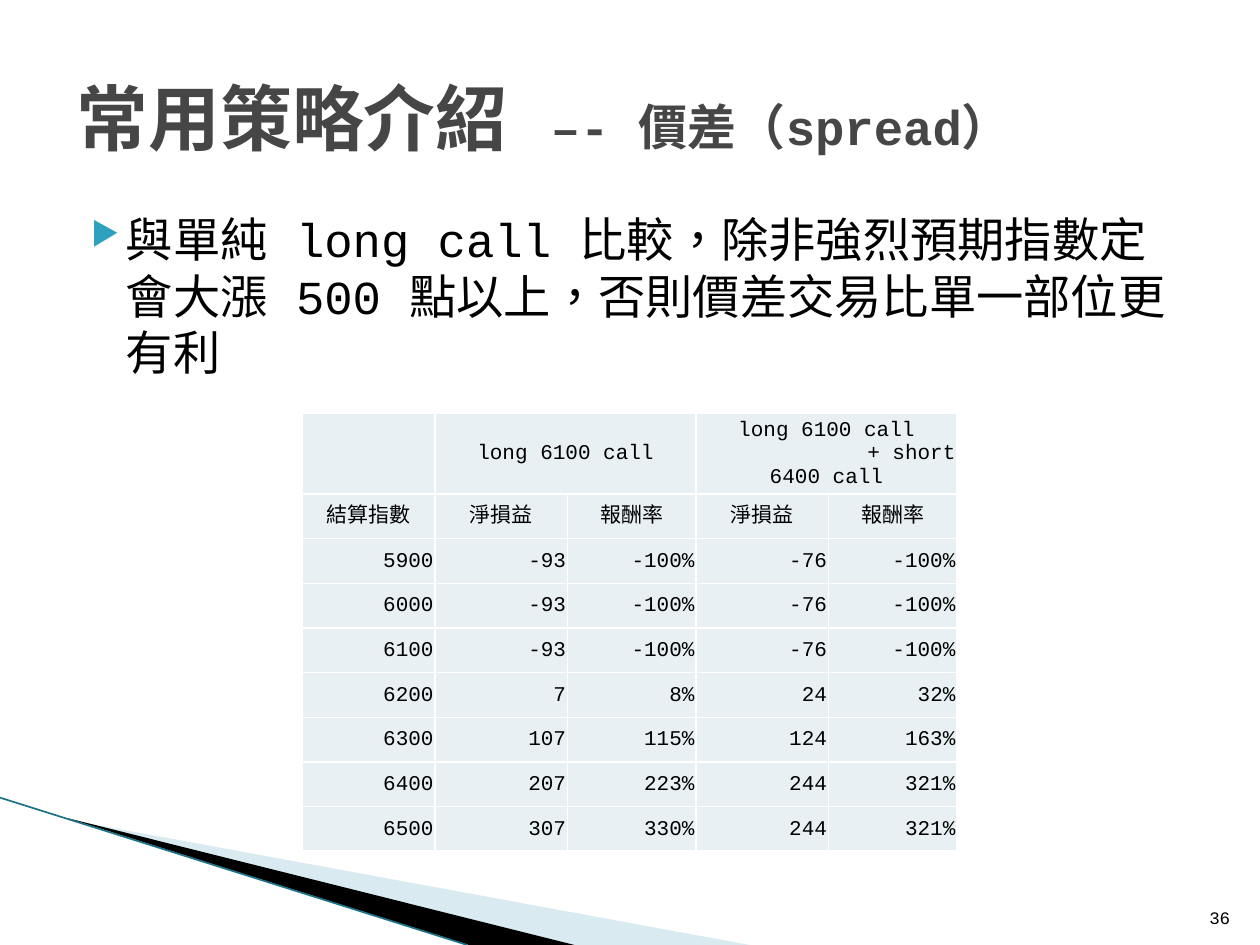
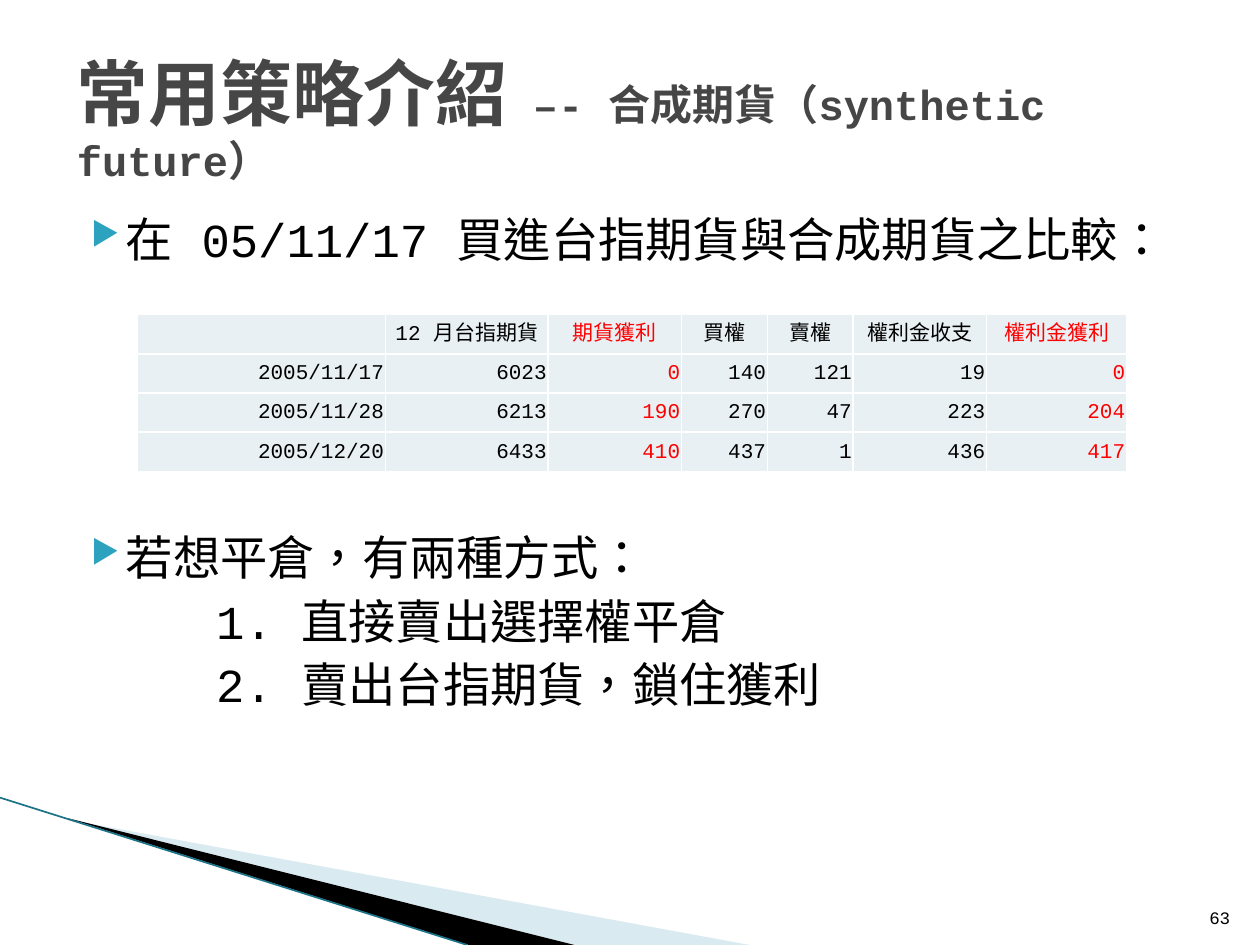
from pptx import Presentation
from pptx.dml.color import RGBColor
from pptx.enum.lang import MSO_LANGUAGE_ID
from pptx.enum.shapes import MSO_CONNECTOR
from pptx.enum.text import MSO_ANCHOR, PP_ALIGN
from pptx.oxml import parse_xml
from pptx.oxml.ns import nsdecls, qn
from pptx.util import Cm, Pt
from lxml.etree import SubElement

FONT = "Courier New"
HUES = {"ink": "000000", "title": "464646", "mark": "2DA2BF", "red": "FF0000",
        "cell": "E8F0F4", "rule": "FFFFFF", "pale": "A0CBDC", "edge": "1C7387"}
LEFT, MID, RIGHT = PP_ALIGN.LEFT, PP_ALIGN.CENTER, PP_ALIGN.RIGHT


def put(frame, text, size=27, hue="ink", bold=False, align=LEFT,
        mark=False, left=0, gap=0, new=False):
    para = frame.add_paragraph() if new else frame.paragraphs[-1]
    para.alignment = align
    para.space_before = Pt(gap)
    props = para._p.get_or_add_pPr()
    props.set("marL", str(Cm(left)))
    props.set("indent", str(-Cm(0.7) if mark else 0))
    if mark:
        tint = SubElement(props, qn("a:buClr"))
        SubElement(tint, qn("a:srgbClr")).set("val", HUES["mark"])
        SubElement(props, qn("a:buSzPct")).set("val", "68000")
        SubElement(props, qn("a:buChar")).set("char", "▶")
    run = para.add_run()
    run.text = text
    font = run.font
    font.name, font.size, font.bold = FONT, Pt(size), bold
    font.color.rgb = RGBColor.from_string(HUES[hue])
    font.language_id = MSO_LANGUAGE_ID.TRADITIONAL_CHINESE
    SubElement(run._r.rPr, qn("a:ea")).set("typeface", FONT)


def box(slide, x, y, w, h, anchor=MSO_ANCHOR.TOP):
    frame = slide.shapes.add_textbox(Cm(x), Cm(y), Cm(w), Cm(h)).text_frame
    frame.word_wrap = True
    frame.vertical_anchor = anchor
    return frame


wide = "long 6100 call\n+ short\n6400 call"
pages = [
    {"num": "36", "name": "常用策略介紹 ", "sub": "–- 價差（spread）", "pt": 28,
     "lead": "與單純 long call 比較，除非強烈預期指數定會大漲 500 點以上，否則價差交易比單一部位更有利",
     "at": (6.1, 8.33), "cols": [2.67, 2.67, 2.59, 2.67, 2.59],
     "rows": [1.63] + [0.9] * 8, "heads": 2, "reds": [],
     "spans": [1, 3],
     "data": [["", "long 6100 call", "", wide, ""],
              ["結算指數", "淨損益", "報酬率", "淨損益", "報酬率"],
              ["5900", "-93", "-100%", "-76", "-100%"],
              ["6000", "-93", "-100%", "-76", "-100%"],
              ["6100", "-93", "-100%", "-76", "-100%"],
              ["6200", "7", "8%", "24", "32%"],
              ["6300", "107", "115%", "124", "163%"],
              ["6400", "207", "223%", "244", "321%"],
              ["6500", "307", "330%", "244", "321%"]]},
    {"num": "63", "name": "常用策略介紹", "sub": " –- 合成期貨（synthetic future）", "pt": 24,
     "lead": "在 05/11/17 買進台指期貨與合成期貨之比較：",
     "at": (2.77, 6.34), "cols": [5, 3.28, 2.69, 1.73, 1.73, 2.69, 2.82],
     "rows": [0.79] * 4, "heads": 1, "reds": [2, 6],
     "spans": [],
     "data": [["", "12 月台指期貨", "期貨獲利", "買權", "賣權", "權利金收支", "權利金獲利"],
              ["2005/11/17", "6023", "0", "140", "121", "19", "0"],
              ["2005/11/28", "6213", "190", "270", "47", "223", "204"],
              ["2005/12/20", "6433", "410", "437", "1", "436", "417"]]},
]
wedges = [("pale", [(1.4, 16.53), (15.11, 19.05), (11.58, 19.05)]),
          ("ink", [(1.35, 16.49), (11.58, 19.05), (9.45, 19.05)])]

deck = Presentation()
deck.slide_width, deck.slide_height = Cm(25.4), Cm(19.05)

for page in pages:
    slide = deck.slides.add_slide(deck.slide_layouts[6])

    for hue, spots in wedges:
        spots = [(Cm(x), Cm(y)) for x, y in spots]
        path = slide.shapes.build_freeform(*spots[0])
        path.add_line_segments(spots[1:], close=True)
        wedge = path.convert_to_shape()
        wedge.shadow.inherit = False
        wedge.fill.solid()
        wedge.fill.fore_color.rgb = RGBColor.from_string(HUES[hue])
        wedge.line.fill.background()
        if hue == "pale":
            tint = wedge._element.spPr.find(".//" + qn("a:srgbClr"))
            SubElement(tint, qn("a:alpha")).set("val", "40000")

    edge = slide.shapes.add_connector(MSO_CONNECTOR.STRAIGHT, Cm(0), Cm(16.08), Cm(9.42), Cm(19.05))
    edge.line.color.rgb = RGBColor.from_string(HUES["edge"])
    edge.line.width = Pt(0.95)
    SubElement(edge._element.spPr, qn("a:effectLst"))

    title = box(slide, 1.3, 0.76, 22.86, 3.18, MSO_ANCHOR.MIDDLE)
    put(title, page["name"], size=41, hue="title", bold=True)
    put(title, page["sub"], size=page["pt"], hue="title", bold=True)

    put(box(slide, 1.27, 4.11, 22.86, 3.9), page["lead"], mark=True, left=1.02)

    data, cols, rows = page["data"], page["cols"], page["rows"]
    x, y = page["at"]
    grid = slide.shapes.add_table(len(rows), len(cols), Cm(x), Cm(y),
                                  Cm(sum(cols)), Cm(sum(rows))).table
    grid.first_row = grid.horz_banding = False
    for col, w in zip(grid.columns, cols):
        col.width = Cm(w)
    for row, h in zip(grid.rows, rows):
        row.height = Cm(h)
    for c in page["spans"]:
        grid.cell(0, c).merge(grid.cell(0, c + 1))
    for r, line in enumerate(data):
        for c, text in enumerate(line):
            cell = grid.cell(r, c)
            cell.margin_left = cell.margin_right = cell.margin_top = Cm(0.03)
            cell.margin_bottom = 0
            cell.vertical_anchor = MSO_ANCHOR.MIDDLE
            props = cell._tc.get_or_add_tcPr()
            for side in "LRTB":
                props.append(parse_xml(
                    f'<a:ln{side} w="12700" {nsdecls("a")}><a:solidFill>'
                    f'<a:srgbClr val="{HUES["rule"]}"/></a:solidFill></a:ln{side}>'))
            cell.fill.solid()
            cell.fill.fore_color.rgb = RGBColor.from_string(HUES["cell"])
            for n, part in enumerate(text.split("\n") if text else []):
                side = MID if r < page["heads"] and n != 1 else RIGHT
                put(cell.text_frame, part, size=12, align=side, new=n > 0,
                    hue="red" if c in page["reds"] else "ink")

    num = box(slide, 24.03, 17.81, 1.02, 1.02, MSO_ANCHOR.BOTTOM)
    put(num, page["num"], size=10, align=RIGHT)

ways = box(slide, 1.27, 10.52, 22.86, 4.9)
put(ways, "若想平倉，有兩種方式：", mark=True, left=1.02)
for text in ["1. 直接賣出選擇權平倉", "2. 賣出台指期貨，鎖住獲利"]:
    put(ways, text, left=2.84, gap=4, new=True)

deck.save("out.pptx")
